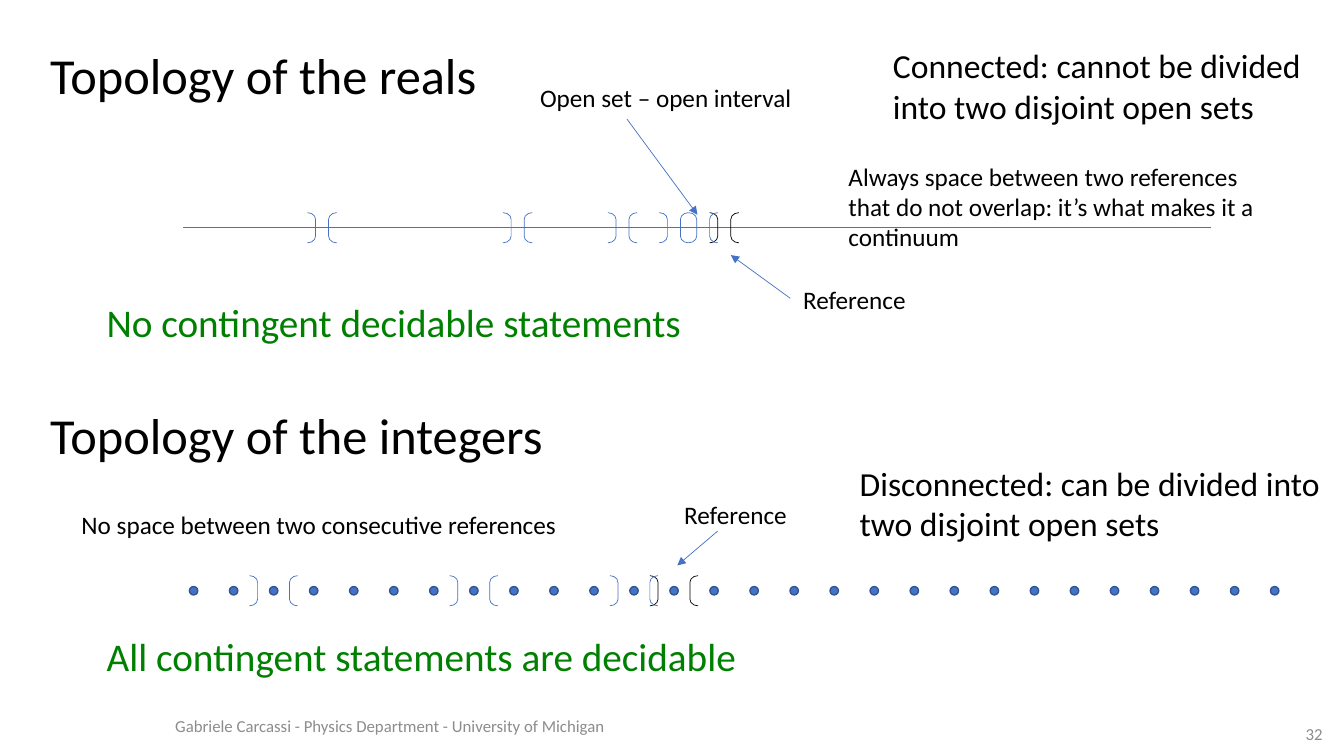
import pptx
import pptx.dml.color
import pptx.enum.shapes
import pptx.enum.text
import pptx.oxml
import pptx.oxml.ns
import pptx.util

Pt = pptx.util.Pt
RGBColor = pptx.dml.color.RGBColor
Shape = pptx.enum.shapes.MSO_SHAPE
Align = pptx.enum.text.PP_ALIGN
Anchor = pptx.enum.text.MSO_ANCHOR

BLACK = RGBColor(0x00, 0x00, 0x00)
GREY = RGBColor(0x8C, 0x8C, 0x8C)
GREEN = RGBColor(0x00, 0x80, 0x00)
BLUE = RGBColor(0x44, 0x72, 0xC4)
DARK_BLUE = RGBColor(0x32, 0x54, 0x91)

TITLE, STATEMENT, PROPERTY, LABEL, FOOTER = 36, 28, 24, 18, 12

BRACKET_WIDTH, BRACKET_HEIGHT = 5.8, 21.6
REAL_GAP = 15.1
DOT_SIZE, DOT_COUNT, DOT_PITCH = 6, 28, 28.6
DOT_LEFT, DOT_TOP = 135.3, 419


class TopologySlide:
    def __init__(self, slide, font="Calibri", line_width=0.5):
        self.slide = slide
        self.font = font
        self.line_width = line_width

    def text(self, text, left, top, width, height, size=LABEL, color=BLACK,
             wrap=True, align=Align.LEFT, anchor=Anchor.TOP):
        shape = self.slide.shapes.add_textbox(Pt(left), Pt(top), Pt(width), Pt(height))
        frame = shape.text_frame
        frame.word_wrap = wrap
        frame.vertical_anchor = anchor
        paragraph = frame.paragraphs[0]
        paragraph.alignment = align
        run = paragraph.add_run()
        run.text = text
        run.font.name = self.font
        run.font.size = Pt(size)
        run.font.color.rgb = color

    def line(self, start, end, arrow=False):
        connector = self.slide.shapes.add_connector(
            pptx.enum.shapes.MSO_CONNECTOR.STRAIGHT, *map(Pt, start + end))
        connector.line.color.rgb = BLUE
        connector.line.width = Pt(self.line_width)
        properties = connector._element.spPr
        if arrow:
            head = pptx.oxml.parse_xml(
                f'<a:tailEnd {pptx.oxml.ns.nsdecls("a")} type="triangle"/>')
            connector.line._get_or_add_ln().append(head)
        properties.append(pptx.oxml.parse_xml(
            f'<a:effectLst {pptx.oxml.ns.nsdecls("a")}/>'))

    def dot(self, left, top):
        shape = self.slide.shapes.add_shape(
            Shape.OVAL, Pt(left), Pt(top), Pt(DOT_SIZE), Pt(DOT_SIZE))
        shape.shadow.inherit = False
        shape.fill.solid()
        shape.fill.fore_color.rgb = BLUE
        shape.line.color.rgb = DARK_BLUE
        shape.line.width = Pt(1)

    def reference(self, left, top, gap, color=BLUE):
        """Draw a closing bracket and, one gap further, an opening one."""
        group = self.slide.shapes.add_group_shape()
        for kind, x in ((Shape.RIGHT_BRACKET, left), (Shape.LEFT_BRACKET, left + gap)):
            bracket = group.shapes.add_shape(
                kind, Pt(x), Pt(top), Pt(BRACKET_WIDTH), Pt(BRACKET_HEIGHT))
            bracket.adjustments[0] = 0.83
            bracket.shadow.inherit = False
            bracket.fill.background()
            bracket.line.color.rgb = color
            bracket.line.width = Pt(self.line_width)


def draw_reals(page):
    page.text("Topology of the reals", 28.8, 28, 322, 51, size=TITLE, wrap=False)
    page.line((131, 162.7), (864.7, 162.7))
    page.line((447.8, 85), (498.2, 153.4), arrow=True)
    page.text("Open set – open interval", 378.7, 55.4, 196.6, 29, wrap=False)
    page.text("No contingent decidable statements", 69.1, 209.5, 429, 41,
              size=STATEMENT, color=GREEN, wrap=False)
    page.text("Connected: cannot be divided into two disjoint open sets",
              630.7, 28.8, 322, 65.5, size=PROPERTY)
    page.reference(506.9, 151.9, REAL_GAP, BLACK)
    page.line((564.5, 213.1), (522, 182.2), arrow=True)
    page.text("Reference", 566.6, 199.4, 88.6, 29, wrap=False)
    for left in (359.3, 219.6, 434.2, 470.9, 491.8):
        page.reference(left, 151.9, REAL_GAP)
    page.text("Always space between two references that do not overlap: "
              "it’s what makes it a continuum", 599, 111.6, 309, 72.7)


def draw_integers(page):
    page.text("Topology of the integers", 28.8, 285.1, 369.4, 51, size=TITLE, wrap=False)
    for index in range(DOT_COUNT):
        page.dot(DOT_LEFT + index * DOT_PITCH, DOT_TOP)
    for dots_before, color in ((12, BLACK), (2, BLUE), (7, BLUE), (11, BLUE)):
        left = DOT_LEFT + (dots_before - 0.5) * DOT_PITCH
        page.reference(left, 411.2, DOT_PITCH, color)
    page.text("Reference", 481.7, 352.8, 88.6, 29, wrap=False)
    page.line((512.6, 379.4), (483.8, 403.9), arrow=True)
    page.text("No space between two consecutive references", 51.1, 360, 409, 29)
    page.text("Disconnected: can be divided into two disjoint open sets",
              607, 326.9, 345.6, 65.5, size=PROPERTY)
    page.text("All contingent statements are decidable", 69.1, 447.8, 468.7, 41,
              size=STATEMENT, color=GREEN, wrap=False)


def draw_footer(page):
    page.text("Gabriele Carcassi - Physics Department - University of Michigan",
              118.1, 504, 470.2, 28.8, size=FOOTER, color=GREY, anchor=Anchor.MIDDLE)
    page.text("32", 907.9, 514.8, 43.9, 18, size=FOOTER, color=GREY,
              align=Align.RIGHT, anchor=Anchor.MIDDLE)


def main():
    presentation = pptx.Presentation()
    presentation.slide_width = Pt(960)
    presentation.slide_height = Pt(540)
    page = TopologySlide(presentation.slides.add_slide(presentation.slide_layouts[6]))
    draw_footer(page)
    draw_reals(page)
    draw_integers(page)
    presentation.save("out.pptx")


if __name__ == "__main__":
    main()
